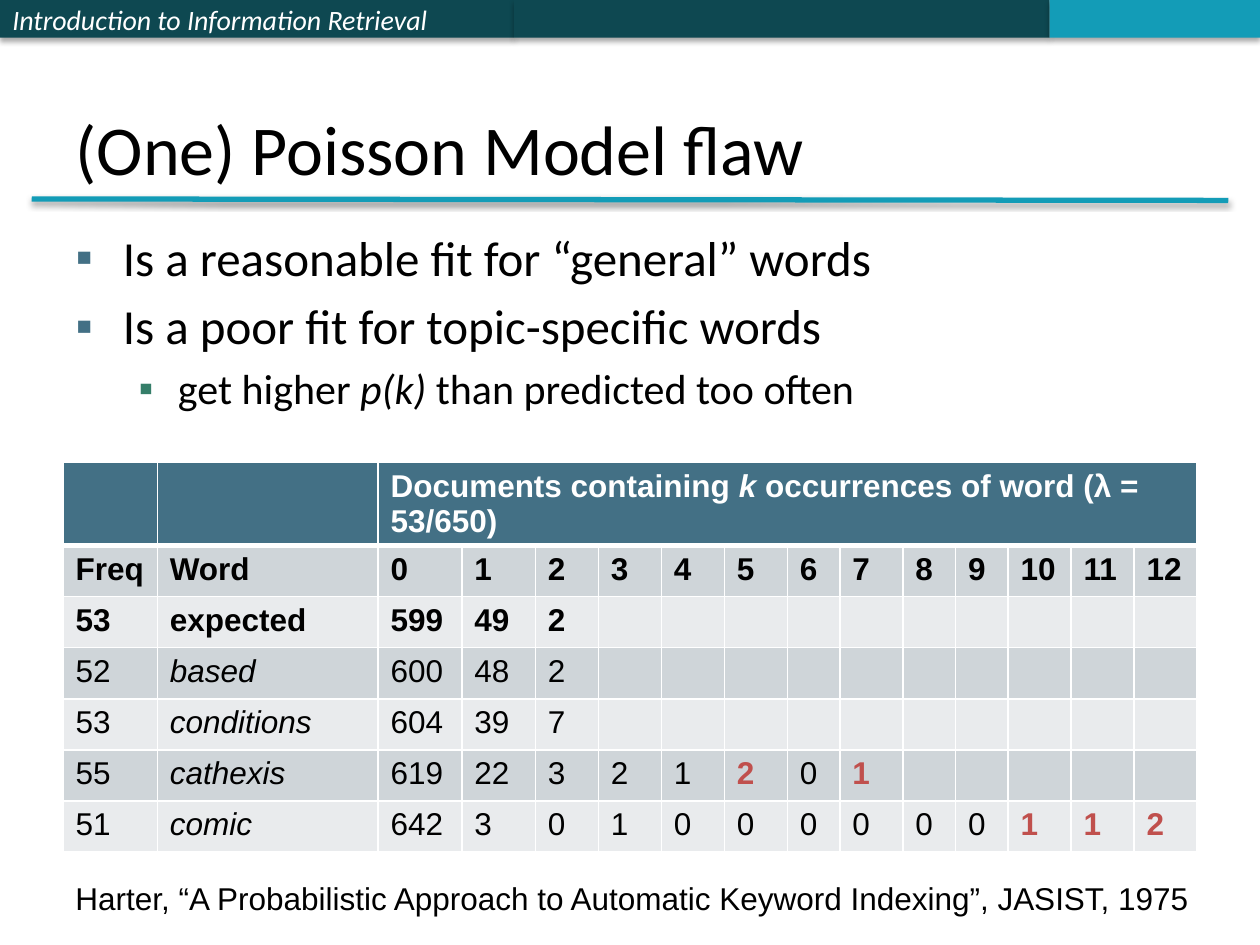
from lxml import etree
from pptx import Presentation, util as u
from pptx.dml.color import RGBColor
from pptx.enum import shapes, text
from pptx.oxml import parse_xml
from pptx.oxml.ns import nsdecls, qn

Cm, Pt = u.Cm, u.Pt
hues = {"dark": "0E4851", "teal": "139CB7", "head": "437085", "green": "357E69",
        "odd": "CFD5D9", "even": "E9EBED", "red": "C0504D", "black": "000000", "white": "FFFFFF"}
rgb = {name: RGBColor.from_string(code) for name, code in hues.items()}


def write(par, parts, size, face="Calibri", hue="black", bold=False, slant=False):
    font = par.font
    font.size, font.name, font.bold = Pt(size), face, bold
    font.color.rgb = rgb[hue]
    if len(parts) == 1:
        font.italic = slant
    for i, part in enumerate(parts):
        run = par.add_run()
        run.text = part
        if len(parts) > 1:
            run.font.italic = i % 2 == 1


def shade(shape, alpha, dist):
    props = shape._element.spPr
    for old in props.findall(qn("a:effectLst")):
        props.remove(old)
    props.append(parse_xml(
        f'<a:effectLst {nsdecls("a")}><a:outerShdw blurRad="{Pt(3.1)}" dist="{Pt(dist)}" '
        f'dir="5400000" rotWithShape="0"><a:srgbClr val="{hues["black"]}">'
        f'<a:alpha val="{alpha * 1000}"/></a:srgbClr></a:outerShdw></a:effectLst>'))


deck = Presentation()
deck.slide_width, deck.slide_height = Cm(25.4), Cm(19.05)
slide = deck.slides.add_slide(deck.slide_layouts[1])

left = 0
for width, hue, label in [(10.36, "dark", "Introduction to Information Retrieval"),
                          (10.8, "dark", ""), (4.24, "teal", "")]:
    bar = slide.shapes.add_shape(shapes.MSO_SHAPE.RECTANGLE, Cm(left), 0, Cm(width), Cm(0.76))
    bar.fill.solid()
    bar.fill.fore_color.rgb = rgb[hue]
    bar.line.fill.background()
    shade(bar, 35, 1.8)
    if label:
        bar.text_frame.vertical_anchor = text.MSO_ANCHOR.MIDDLE
        par = bar.text_frame.paragraphs[0]
        par.alignment = text.PP_ALIGN.LEFT
        write(par, [label], 16, hue="white", slant=True)
    left += width

rule = slide.shapes.add_connector(shapes.MSO_CONNECTOR.STRAIGHT, Cm(0.64), Cm(4.01), Cm(24.76), Cm(4.04))
rule.line.color.rgb = rgb["teal"]
rule.line.width = Pt(3)
shade(rule, 38, 1.6)

title, body = slide.placeholders
for frame, top, height in [(title, 0.76, 3.18), (body, 4.45, 13.77)]:
    frame.left, frame.top, frame.width, frame.height = Cm(1.27), Cm(top), Cm(22.86), Cm(height)
    frame.text_frame.auto_size = text.MSO_AUTO_SIZE.NONE
title.text_frame.vertical_anchor = text.MSO_ANCHOR.BOTTOM
par = title.text_frame.paragraphs[0]
par.alignment = text.PP_ALIGN.LEFT
write(par, ["(One) Poisson Model flaw"], 40)

points = [(0, 28, "head", ["Is a reasonable fit for “general” words"]),
          (0, 28, "head", ["Is a poor fit for topic-specific words"]),
          (1, 24, "green", ["get higher ", "p(k) ", "than predicted too often"])]
for i, (level, size, hue, parts) in enumerate(points):
    par = body.text_frame.add_paragraph() if i else body.text_frame.paragraphs[0]
    par.level = level
    props = par._p.get_or_add_pPr()
    tint = etree.SubElement(props, qn("a:buClr"))
    etree.SubElement(tint, qn("a:srgbClr"), val=hues[hue])
    etree.SubElement(props, qn("a:buFont"), typeface="Arial")
    etree.SubElement(props, qn("a:buChar"), char="▪")
    if i == 0:
        par.space_before = Pt(0)
    write(par, parts, size)

rows = [["", "", ""],
        ["Freq", "Word", *map(str, range(13))],
        ["53", "expected", "599", "49", "2"],
        ["52", "based", "600", "48", "2"],
        ["53", "conditions", "604", "39", "7"],
        ["55", "cathexis", "619", "22", "3", "2", "1", "2", "0", "1"],
        ["51", "comic", "642", "3", "0", "1", "0", "0", "0", "0", "0", "0", "1", "1", "2"]]
peaks = {(5, 7), (5, 9), (6, 12), (6, 13), (6, 14)}
wide = [1.9, 4.45, 1.69, 1.48, 1.27, 1.27, 1.27, 1.27, 1.06, 1.27, 1.06, 1.06, 1.27, 1.27, 1.27]
grid = slide.shapes.add_table(len(rows), len(wide), Cm(1.27), Cm(9.32), Cm(22.86), Cm(7.21)).table
for col, width in zip(grid.columns, wide):
    col.width = Cm(width)
for r, row in enumerate(rows):
    grid.rows[r].height = Cm(1.03)
    for c in range(len(wide)):
        cell = grid.cell(r, c)
        props = cell._tc.get_or_add_tcPr()
        for side in "LRTB":
            thick = 3 if (r, side) in [(0, "B"), (1, "T")] else 1
            edge = etree.SubElement(props, qn(f"a:ln{side}"), w=str(Pt(thick)))
            paint = etree.SubElement(edge, qn("a:solidFill"))
            etree.SubElement(paint, qn("a:srgbClr"), val=hues["white"])
        cell.fill.solid()
        cell.fill.fore_color.rgb = rgb["head" if r == 0 else "odd" if r % 2 else "even"]
        if c < len(row) and row[c]:
            peak = (r, c) in peaks
            write(cell.text_frame.paragraphs[0], [row[c]], 18, "Arial", "red" if peak else "black",
                  bold=r < 3 or peak, slant=r > 2 and c == 1)
head = grid.cell(0, 2)
head.merge(grid.cell(0, 14))
write(head.text_frame.paragraphs[0],
      ["Documents containing ", "k", " occurrences of word (λ = 53/650)"], 18, "Arial", "white", bold=True)

note = slide.shapes.add_textbox(Cm(1.27), Cm(17.6), Cm(23.19), Cm(1.02)).text_frame
note.word_wrap = False
note.auto_size = text.MSO_AUTO_SIZE.SHAPE_TO_FIT_TEXT
write(note.paragraphs[0],
      ["Harter, “A Probabilistic Approach to Automatic Keyword Indexing”, JASIST, 1975"], 18, "Arial")

deck.save("out.pptx")
